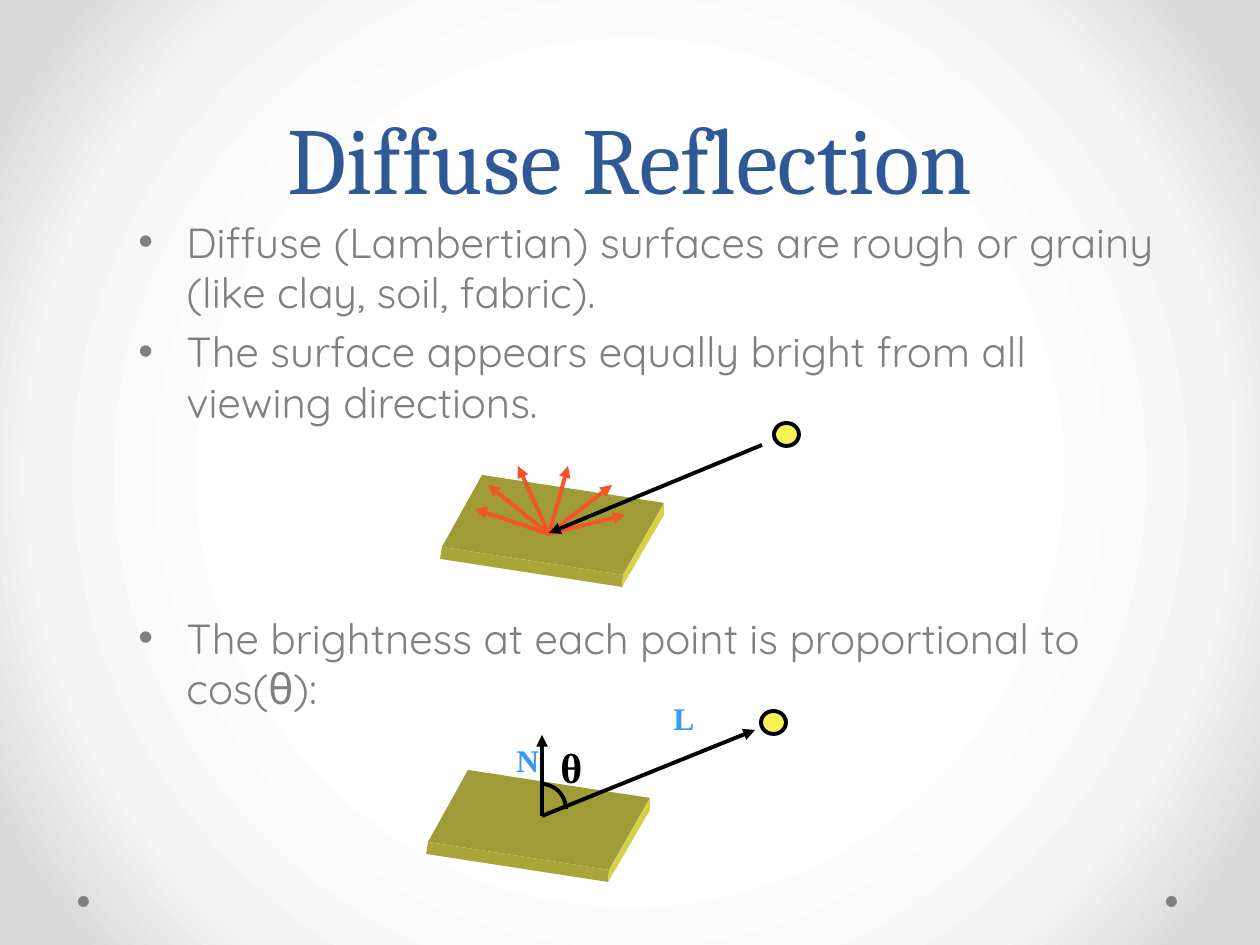
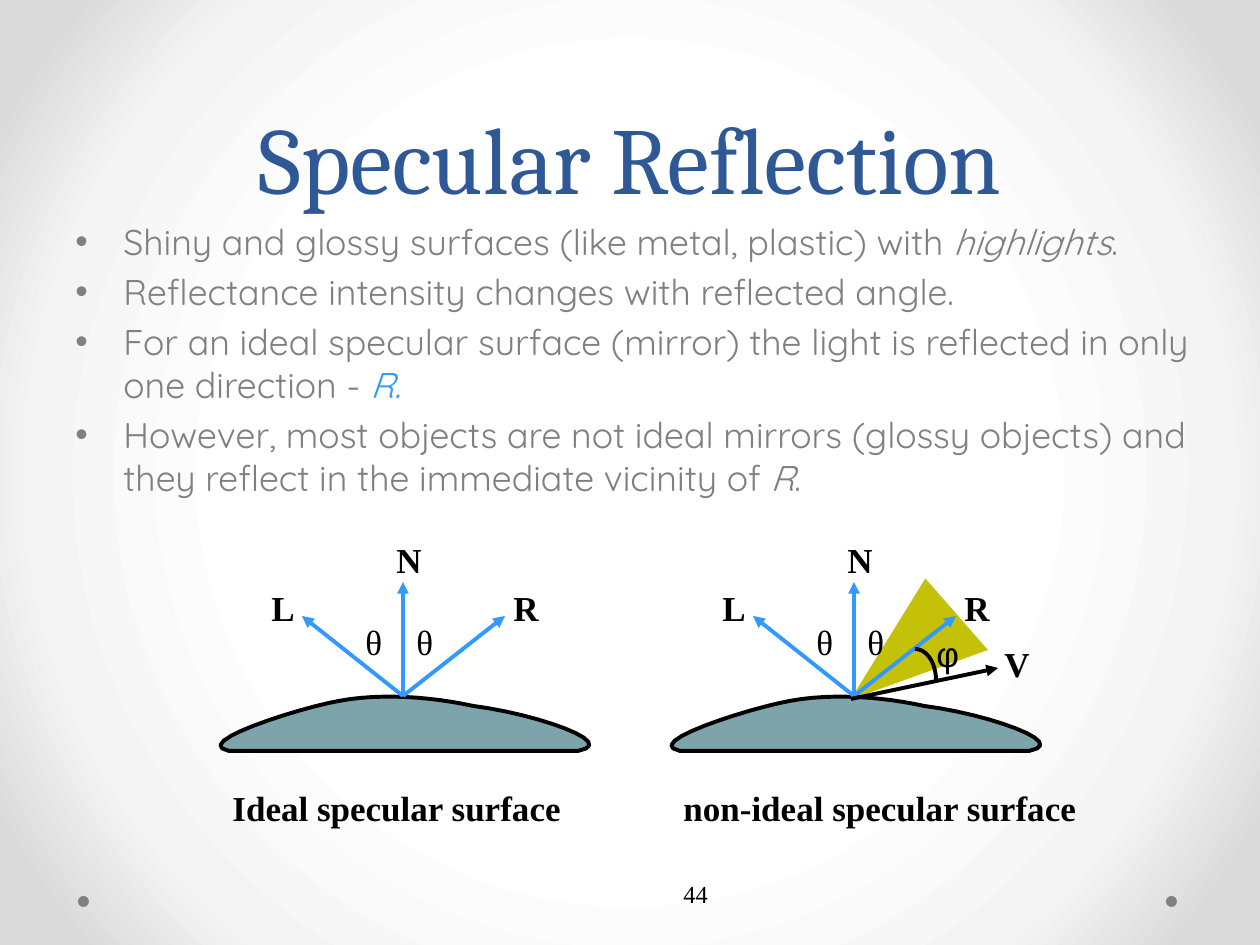
from dataclasses import dataclass

from lxml import etree
from pptx import Presentation
from pptx.dml.color import RGBColor
from pptx.enum.shapes import MSO_CONNECTOR, MSO_SHAPE
from pptx.enum.text import MSO_ANCHOR, MSO_AUTO_SIZE, PP_ALIGN
from pptx.oxml import parse_xml
from pptx.oxml.ns import nsdecls, qn
from pptx.util import Pt

STRAIGHT = MSO_CONNECTOR.STRAIGHT
OVAL, ARC, TRIANGLE = MSO_SHAPE.OVAL, MSO_SHAPE.ARC, MSO_SHAPE.ISOSCELES_TRIANGLE
LEFT, CENTER, RIGHT = PP_ALIGN.LEFT, PP_ALIGN.CENTER, PP_ALIGN.RIGHT
TOP, MIDDLE, BOTTOM = MSO_ANCHOR.TOP, MSO_ANCHOR.MIDDLE, MSO_ANCHOR.BOTTOM
NO_FIT = MSO_AUTO_SIZE.NONE
EMU_PER_PX = 914400 / 126
TITLE_ONLY = 5


@dataclass(frozen=True)
class Theme:
    title: str = "2F5897"
    body: str = "808080"
    ink: str = "000000"
    blue: str = "3399FF"
    orange: str = "F65428"
    sun: str = "F7F355"
    slab_top: str = "9F9B37"
    slab_front: str = "A9A539"
    slab_side: str = "D5D04A"
    mound: str = "7DA3AB"
    cone: str = "C5C109"
    backdrop: tuple = ((50, "FFFFFF"), (76, "F4F4F4"), (92, "DADADA"))
    title_font: str = "Cambria"
    body_font: str = "Quicksand"
    label_font: str = "Times New Roman"
    symbol_font: str = "Arial"
    title_size: int = 54
    title_leading: int = 58
    theta_size: int = 24
    label_size: int = 20
    vector_size: int = 18
    number_size: int = 14
    line: float = 2.25


def px(*values):
    return [round(v * EMU_PER_PX) for v in values]


def shifted(points, dx, dy):
    return [(x + dx, y + dy) for x, y in points]


def curve(start, segments, steps=12):
    points = [start]
    for c1, c2, end in segments:
        origin = points[-1]
        for i in range(1, steps + 1):
            t = i / steps
            weights = ((1 - t) ** 3, 3 * t * (1 - t) ** 2, 3 * t * t * (1 - t), t ** 3)
            knots = (origin, c1, c2, end)
            points.append(tuple(sum(w * k[axis] for w, k in zip(weights, knots))
                                for axis in (0, 1)))
    return points


class Deck:
    def __init__(self, theme):
        self.theme = theme
        self.prs = Presentation()
        self.prs.slide_width, self.prs.slide_height = px(1260, 945)
        self.s = None
        self.backdrop()

    def backdrop(self):
        fill = self.prs.slide_master.background.fill
        fill.solid()
        stops = "".join(f'<a:gs pos="{pos * 1000}"><a:srgbClr val="{color}"/></a:gs>'
                        for pos, color in self.theme.backdrop)
        gradient = parse_xml(
            f'<a:gradFill {nsdecls("a")} rotWithShape="1"><a:gsLst>{stops}</a:gsLst>'
            '<a:path path="circle"><a:fillToRect l="50000" t="50000" r="50000" b="50000"/>'
            '</a:path></a:gradFill>')
        solid = self.prs.slide_master.element.find(".//" + qn("p:bgPr")).find(qn("a:solidFill"))
        solid.getparent().replace(solid, gradient)

    def slide(self, title):
        t = self.theme
        self.s = self.prs.slides.add_slide(self.prs.slide_layouts[TITLE_ONLY])
        for x in (1166, 78):
            self.shape(OVAL, (x, 896, 11, 11), t.body)
        sp = self.s.shapes.title
        sp.left, sp.top, sp.width, sp.height = px(63, 0, 1134, 220)
        self.frame(sp.text_frame, anchor=BOTTOM)
        p = sp.text_frame.paragraphs[0]
        p.alignment, p.line_spacing = CENTER, Pt(t.title_leading)
        self.run(p, title, t.title_size, t.title_font, t.title)

    def frame(self, tf, anchor=TOP):
        formats = {"word_wrap": True, "auto_size": NO_FIT, "vertical_anchor": anchor}
        for name, value in formats.items():
            setattr(tf, name, value)

    def run(self, p, text, size, font, color, **formats):
        r = p.add_run()
        r.text = text
        for name, value in {"size": Pt(size), "name": font, **formats}.items():
            setattr(r.font, name, value)
        r.font.color.rgb = RGBColor.from_string(color)

    def paint(self, sp, fill=None, line=None):
        sp.shadow.inherit = False
        if fill:
            sp.fill.solid()
            sp.fill.fore_color.rgb = RGBColor.from_string(fill)
        else:
            sp.fill.background()
        if line:
            sp.line.color.rgb = RGBColor.from_string(line)
            sp.line.width = Pt(self.theme.line)
        else:
            sp.line.fill.background()

    def shape(self, kind, box, fill=None, line=None):
        sp = self.s.shapes.add_shape(kind, *px(*box))
        self.paint(sp, fill, line)
        return sp

    def outline(self, points, fill, line=None):
        points = [px(*point) for point in points]
        builder = self.s.shapes.build_freeform(*points[0])
        builder.add_line_segments(points[1:], close=True)
        self.paint(builder.convert_to_shape(), fill, line)

    def arrow(self, start, end, color):
        sp = self.s.shapes.add_connector(STRAIGHT, *px(*start, *end))
        sp.line.color.rgb = RGBColor.from_string(color)
        sp.line.width = Pt(self.theme.line)
        etree.SubElement(sp.line._get_or_add_ln(), qn("a:tailEnd"), type="triangle")
        etree.SubElement(sp.element.spPr, qn("a:effectLst"))

    def label(self, text, box, size=None, color=None, font=None, bold=True,
              align=LEFT, anchor=TOP, right_inset=None):
        t = self.theme
        tf = self.s.shapes.add_textbox(*px(*box)).text_frame
        self.frame(tf, anchor)
        if right_inset is not None:
            tf.margin_right = px(right_inset)[0]
        p = tf.paragraphs[0]
        p.alignment = align
        self.run(p, text, size or t.label_size, font or t.label_font, color or t.ink, bold=bold)

    def bullets(self, box, size, items):
        t = self.theme
        tf = self.s.shapes.add_textbox(*px(*box)).text_frame
        self.frame(tf)
        for i, (before, runs) in enumerate(items):
            p = tf.paragraphs[0] if i == 0 else tf.add_paragraph()
            p.space_before = Pt(before)
            pPr = p._p.get_or_add_pPr()
            indent = px(48)[0]
            pPr.set("marL", str(indent))
            pPr.set("indent", str(-indent))
            etree.SubElement(pPr, qn("a:buFont"), typeface=t.symbol_font)
            etree.SubElement(pPr, qn("a:buChar"), char="•")
            for text, color, italic in runs:
                self.run(p, text, size, t.body_font, color, italic=italic)

    def slab(self, dx=0, dy=0):
        t = self.theme
        back_left, back_right, front_right, front_left = (
            (482, 475), (664, 503), (623, 575), (442, 547))
        low_left, low_right, low_back = (440, 559), (622, 587), (664, 515)
        faces = (
            (t.slab_top, (back_left, back_right, front_right, front_left)),
            (t.slab_front, (front_left, front_right, low_right, low_left)),
            (t.slab_side, (back_right, low_back, low_right, front_right)))
        for color, points in faces:
            self.outline(shifted(points, dx, dy), color)

    def sun(self, x, y):
        self.shape(OVAL, (x, y, 25, 23), self.theme.sun, self.theme.ink)

    def mirror(self, dx, caption, caption_width):
        t = self.theme
        mound = curve((229, 751), (
            ((189, 743), (299, 708), (339, 701)),
            ((381, 693), (432, 697), (473, 706)),
            ((536, 714), (620, 743), (578, 751))))
        self.outline(shifted(mound, dx, 0), t.mound, t.ink)
        for x, y in ((403, 582), (302, 616), (505, 616)):
            self.arrow((403 + dx, 696), (x + dx, y), t.blue)
        for text, x, y, bold in (("θ", 353, 614, False), ("θ", 404, 614, False),
                                 ("N", 384, 532, True), ("L", 259, 580, True),
                                 ("R", 501, 580, True)):
            self.label(text, (x + dx, y, 68, 54), bold=bold)
        self.label(caption, (220 + dx, 780, caption_width, 54))


def diffuse(deck):
    t = deck.theme
    deck.slide("Diffuse Reflection")
    deck.bullets((126, 210, 1051, 714), 24, [
        (before, [(text, t.body, False)]) for before, text in (
            (5, "Diffuse (Lambertian) surfaces are rough or grainy (like clay, soil, fabric)."),
            (5, "The surface appears equally bright from all viewing directions."),
            (106, "The brightness at each point is proportional to cos(θ):"))])

    deck.slab()
    for end in ((488, 485), (475, 509), (612, 485), (568, 466), (518, 466), (625, 515)):
        deck.arrow((549, 534), end, t.orange)
    deck.sun(774, 423)
    deck.arrow((762, 445), (549, 533), t.ink)

    deck.slab(-14, 295)
    for end in ((755, 730), (542, 735)):
        deck.arrow((542, 816), end, t.ink)
    deck.sun(761, 711)
    deck.shape(ARC, (516, 784, 50, 50), line=t.ink)
    deck.label("θ", (548, 735, 40, 38), t.theta_size)
    for text, x, y in (("N", 504, 735), ("L", 661, 693)):
        deck.label(text, (x, y, 48, 50), t.vector_size, t.blue)


def specular(deck):
    t = deck.theme
    deck.slide("Specular Reflection")
    deck.bullets((63, 214, 1168, 277), 20.4, [(4, runs) for runs in (
        [("Shiny and glossy surfaces (like metal, plastic) with ", t.body, False),
         ("highlights", t.body, True), (".", t.body, False)],
        [("Reflectance intensity changes with reflected angle.", t.body, False)],
        [("For an ideal specular surface (mirror) the light is reflected in only "
          "one direction - ", t.body, False), ("R.", t.blue, True)],
        [("However, most objects are not ideal mirrors (glossy objects) and they "
          "reflect in the immediate vicinity of ", t.body, False),
         ("R", t.body, True), (".", t.body, False)])])
    deck.label("44", (567, 867, 147, 53), t.number_size, bold=False,
               align=RIGHT, anchor=MIDDLE, right_inset=6)

    cone = deck.shape(TRIANGLE, (858, 591, 95, 136), t.cone)
    cone.adjustments[0] = 0.56
    cone.rotation = 228.8
    deck.mirror(0, "Ideal specular surface", 370)
    deck.mirror(451, "non-ideal specular surface", 435)
    deck.arrow((851, 699), (998, 668), t.ink)
    deck.shape(ARC, (894, 649, 42, 62), line=t.ink)
    deck.label("φ", (924, 626, 60, 54), font=t.symbol_font, bold=False)
    deck.label("V", (992, 636, 68, 54))


def main():
    deck = Deck(Theme())
    diffuse(deck)
    specular(deck)
    deck.prs.save("out.pptx")


if __name__ == "__main__":
    main()
